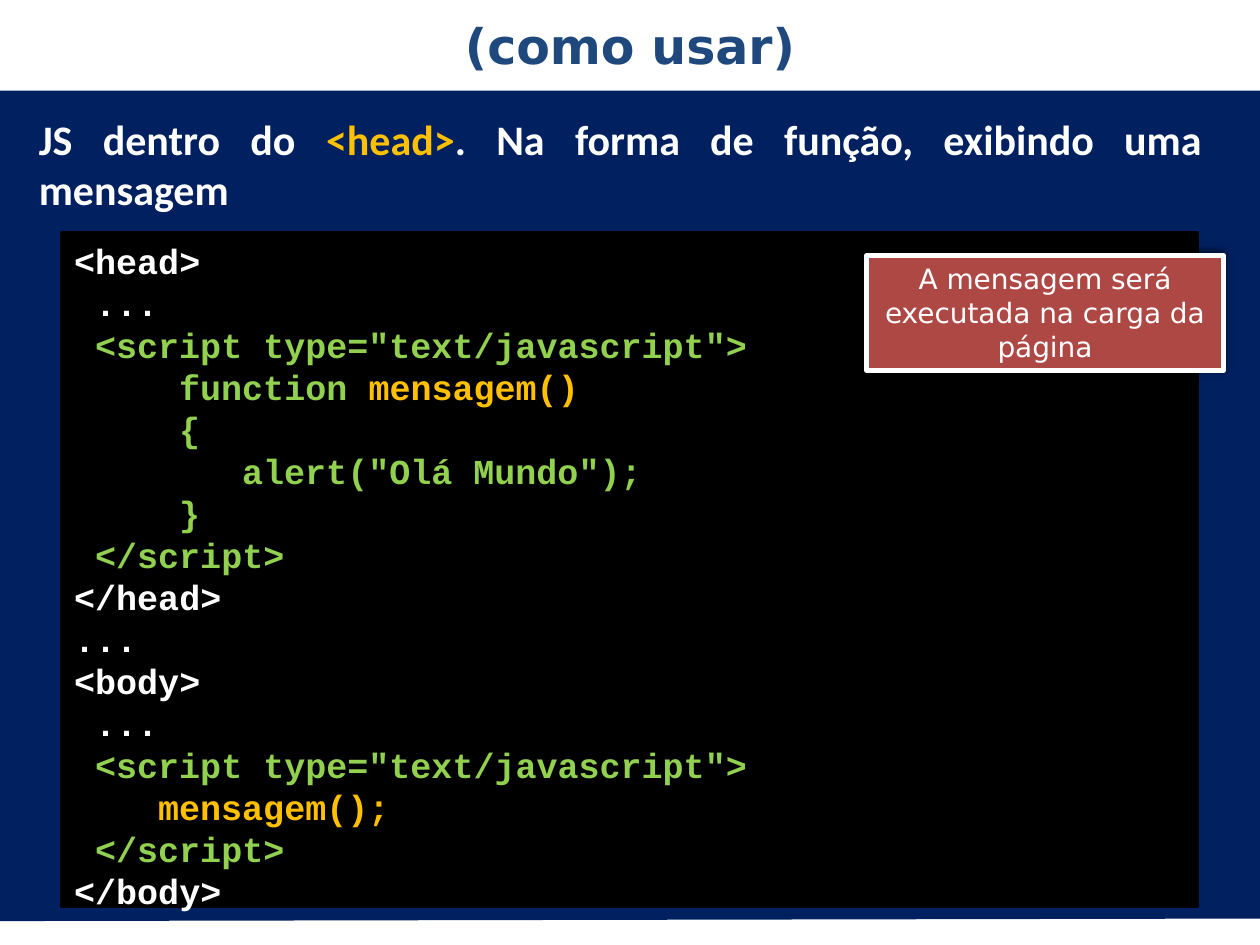
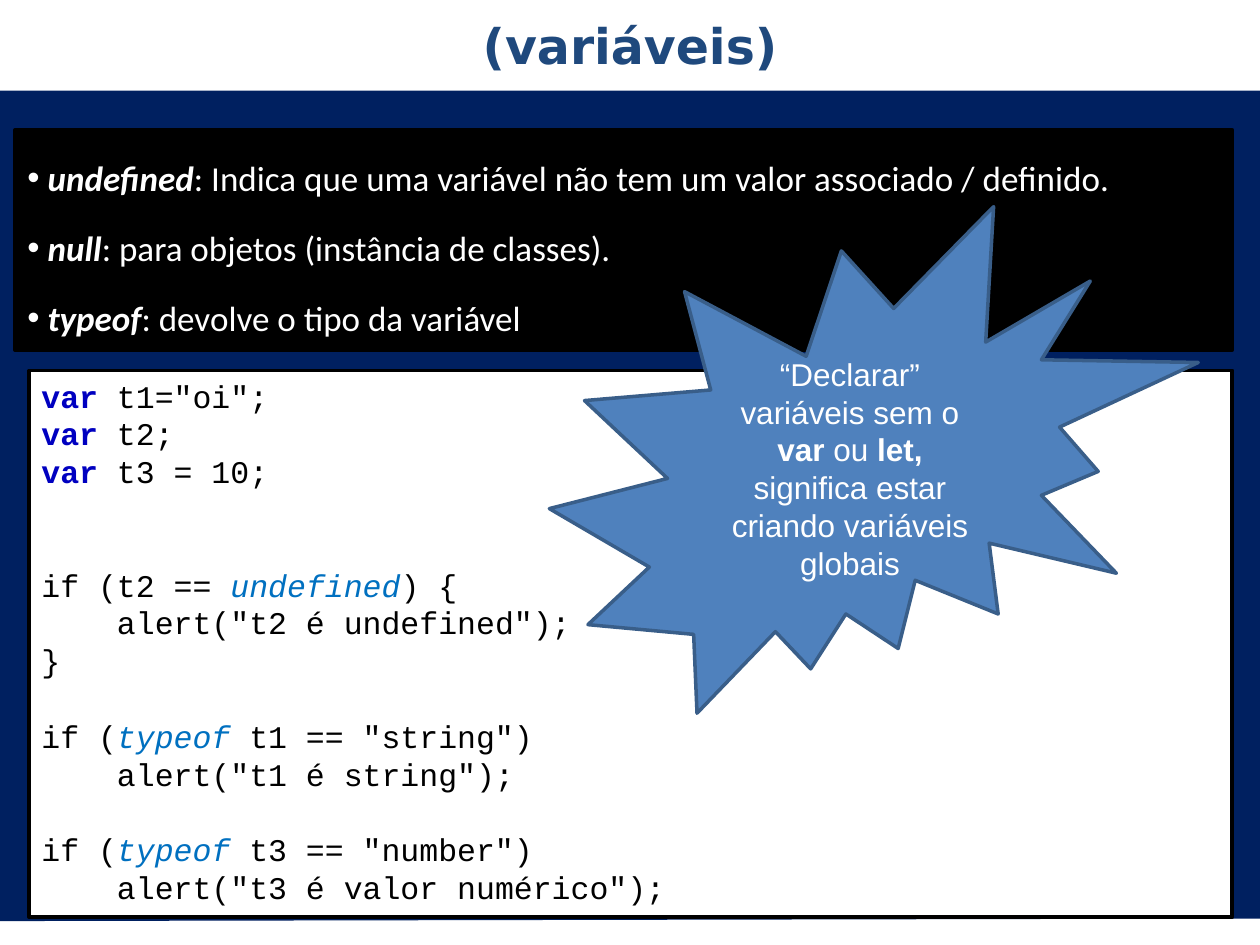
import dataclasses

import pptx
import pptx.dml.color
import pptx.enum.shapes
import pptx.enum.text
import pptx.oxml
import pptx.oxml.ns
import pptx.util
from pptx.util import Inches

SHAPES = pptx.enum.shapes.MSO_SHAPE
ALIGN = pptx.enum.text.PP_ALIGN
ANCHOR = pptx.enum.text.MSO_ANCHOR


@dataclasses.dataclass(frozen=True)
class Theme:
    navy: str = "002060"
    white: str = "FFFFFF"
    black: str = "000000"
    title: str = "1F497D"
    amber: str = "FFC000"
    green: str = "92D050"
    red: str = "AE4845"
    keyword: str = "0000C0"
    operator: str = "0070C0"
    burst: str = "4F81BD"
    burst_edge: str = "395E89"
    title_font: str = "DejaVu Sans"
    body_font: str = "Calibri"
    code_font: str = "Courier New"
    burst_font: str = "Arial"
    title_size: int = 28
    heading_size: int = 24
    body_size: int = 20
    small_size: int = 18
    callout_size: int = 16
    code_leading: float = 1.2
    code_advance: float = 0.6


@dataclasses.dataclass(frozen=True)
class Run:
    text: str
    color: str
    bold: bool = False
    italic: bool = False


@dataclasses.dataclass(frozen=True)
class CodeLine:
    """A line of code, its indent in columns and the empty lines above it."""
    runs: tuple
    columns: int = 0
    gap: int = 0


def rgb(color):
    return pptx.dml.color.RGBColor.from_string(color)


def add_xml(parent, tag, content="", **attributes):
    listed = " ".join(f'{name}="{value}"' for name, value in attributes.items())
    namespace = pptx.oxml.ns.nsdecls("a")
    parent.append(pptx.oxml.parse_xml(f"<a:{tag} {namespace} {listed}>{content}</a:{tag}>"))


class Deck:
    def __init__(self, theme):
        self.theme = theme
        self.presentation = pptx.Presentation()
        self.presentation.slide_width = Inches(10)
        self.presentation.slide_height = Inches(7.5)
        self.slide = None

    def add_slide(self):
        theme = self.theme
        self.slide = self.presentation.slides.add_slide(self.presentation.slide_layouts[6])
        background = self.slide.background.fill
        background.solid()
        background.fore_color.rgb = rgb(theme.navy)
        for top in (0, 6.78):
            self.shape((0, top, 10, 0.72), theme.white)
        builder = self.slide.shapes.build_freeform(0, Inches(3.19))
        corners = ((10, 5.4), (10, 7.29), (0, 7.31))
        builder.add_line_segments([(Inches(x), Inches(y)) for x, y in corners])
        self.paint(builder.convert_to_shape(), theme.navy)

    def paint(self, shape, fill, line=None, width=2):
        shape.shadow.inherit = False
        shape.fill.solid()
        shape.fill.fore_color.rgb = rgb(fill)
        if line is None:
            shape.line.fill.background()
        else:
            shape.line.color.rgb = rgb(line)
            shape.line.width = pptx.util.Pt(width)

    def shape(self, box, fill, line=None, width=2, kind=SHAPES.RECTANGLE):
        shape = self.slide.shapes.add_shape(kind, *map(Inches, box))
        self.paint(shape, fill, line, width)
        return shape

    def frame(self, shape, anchor=ANCHOR.TOP):
        frame = shape.text_frame
        frame.word_wrap = True
        frame.vertical_anchor = anchor
        return frame

    def paragraphs(self, frame, rows, font, size, align=ALIGN.LEFT):
        """Fill the frame with one paragraph for each row of runs."""
        for index, runs in enumerate(rows):
            paragraph = frame.add_paragraph() if index else frame.paragraphs[0]
            paragraph.alignment = align
            for item in runs:
                run = paragraph.add_run()
                run.text = item.text
                run.font.name = font
                run.font.size = pptx.util.Pt(size)
                run.font.bold = item.bold
                run.font.italic = item.italic
                run.font.color.rgb = rgb(item.color)
        return frame.paragraphs

    def text(self, box, runs, font, size, align, anchor=ANCHOR.TOP):
        shape = self.slide.shapes.add_textbox(*map(Inches, box))
        self.paragraphs(self.frame(shape, anchor), [runs], font, size, align)

    def title(self, text):
        theme = self.theme
        self.text((0, 0, 10, 0.71), [Run(text, theme.title, True)], theme.title_font,
                  theme.title_size, ALIGN.CENTER, ANCHOR.MIDDLE)

    def heading(self, box, runs):
        self.text(box, runs, self.theme.body_font, self.theme.heading_size, ALIGN.JUSTIFY)

    def code(self, box, lines, fill, size):
        theme = self.theme
        frame = self.frame(self.shape(box, fill, theme.black))
        rows = [line.runs for line in lines]
        leading = pptx.util.Pt(size * theme.code_leading)
        column = pptx.util.Pt(size * theme.code_advance)
        for line, paragraph in zip(lines, self.paragraphs(frame, rows, theme.code_font, size)):
            paragraph.line_spacing = leading
            paragraph.space_before = line.gap * leading
            paragraph._p.get_or_add_pPr().set("marL", str(line.columns * column))

    def bullets(self, box, rows):
        theme = self.theme
        frame = self.frame(self.shape(box, theme.black, theme.black))
        hanging = Inches(0.16)
        for index, paragraph in enumerate(
                self.paragraphs(frame, rows, theme.body_font, theme.body_size)):
            paragraph.line_spacing = 1.5
            paragraph.space_before = pptx.util.Pt(4 if index else 0)
            properties = paragraph._p.get_or_add_pPr()
            properties.set("marL", str(hanging))
            properties.set("indent", str(-hanging))
            add_xml(properties, "buClr", f'<a:srgbClr val="{theme.white}"/>')
            add_xml(properties, "buFont", typeface="Arial")
            add_xml(properties, "buChar", char="•")

    def callout(self, box, text):
        theme = self.theme
        shape = self.shape(box, theme.red, theme.white, 3)
        effects = shape._element.spPr.find(pptx.oxml.ns.qn("a:effectLst"))
        shade = f'<a:srgbClr val="{theme.black}"><a:alpha val="50000"/></a:srgbClr>'
        add_xml(effects, "outerShdw", shade, blurRad=pptx.util.Pt(5),
                dist=pptx.util.Pt(2), dir=245 * 60000, rotWithShape=0)
        self.paragraphs(self.frame(shape), [[Run(text, theme.white)]], theme.title_font,
                        theme.callout_size, ALIGN.CENTER)

    def starburst(self, box, runs):
        theme = self.theme
        shape = self.shape(box, theme.burst, theme.burst_edge, kind=SHAPES.EXPLOSION2)
        self.paragraphs(self.frame(shape, ANCHOR.MIDDLE), [runs], theme.burst_font,
                        theme.small_size, ALIGN.CENTER)


def add_usage_slide(deck):
    theme = deck.theme

    def line(text, color, columns=0):
        return CodeLine((Run(text, color, True),), columns)

    open_script = line('<script type="text/javascript">', theme.green, 1)
    close_script = line("</script>", theme.green, 1)
    ellipsis = line("...", theme.white, 1)
    function = CodeLine((Run("function ", theme.green, True),
                         Run("mensagem()", theme.amber, True)), 5)

    deck.add_slide()
    deck.heading((0.21, 0.85, 9.43, 5.57), [
        Run("JS dentro do ", theme.white, True),
        Run("<head>", theme.amber, True),
        Run(". Na forma de função, exibindo uma mensagem", theme.white, True),
    ])
    deck.code((0.49, 1.85, 9.01, 5.34), [
        line("<head>", theme.white),
        ellipsis,
        open_script,
        function,
        line("{", theme.green, 5),
        line('alert("Olá Mundo");', theme.green, 8),
        line("}", theme.green, 5),
        close_script,
        line("</head>", theme.white),
        line("...", theme.white),
        line("<body>", theme.white),
        ellipsis,
        open_script,
        line("mensagem();", theme.amber, 4),
        close_script,
        line("</body>", theme.white),
    ], theme.black, theme.body_size)
    deck.callout((6.88, 2.03, 2.83, 0.91), "A mensagem será executada na carga da página")
    deck.title("(como usar)")


def add_variables_slide(deck):
    theme = deck.theme

    def declare(text):
        return CodeLine((Run("var", theme.keyword, True), Run(text, theme.black)))

    def test(before, operator, after, gap):
        return CodeLine((Run(before, theme.black), Run(operator, theme.operator, italic=True),
                         Run(after, theme.black)), gap=gap)

    def alert(message):
        return CodeLine((Run(f'alert("{message}");', theme.black),), 4)

    definitions = (
        ("undefined", ": Indica que uma variável não tem um valor associado / definido."),
        ("null", ": para objetos (instância de classes)."),
        ("typeof", ": devolve o tipo da variável"),
    )
    deck.add_slide()
    deck.bullets((0.12, 1.03, 9.66, 1.75), [
        (Run(term, theme.white, True, True), Run(meaning, theme.white))
        for term, meaning in definitions
    ])
    deck.code((0.23, 2.94, 9.55, 4.34), [
        declare(' t1="oi";'),
        declare(" t2;"),
        declare(" t3 = 10;"),
        test("if (t2 == ", "undefined", ") {", 2),
        alert("t2 é undefined"),
        CodeLine((Run("}", theme.black),)),
        test("if (", "typeof", ' t1 == "string")', 1),
        alert("t1 é string"),
        test("if (", "typeof", ' t3 == "number")', 1),
        alert("t3 é valor numérico"),
    ], theme.white, theme.small_size)
    deck.title("(variáveis)")
    deck.starburst((4.36, 1.64, 5.15, 4.02), [
        Run("“Declarar” variáveis sem o ", theme.white),
        Run("var ", theme.white, True),
        Run("ou ", theme.white),
        Run("let, ", theme.white, True),
        Run("significa estar criando variáveis globais", theme.white),
    ])


def main():
    deck = Deck(Theme())
    add_usage_slide(deck)
    add_variables_slide(deck)
    deck.presentation.save("out.pptx")


if __name__ == "__main__":
    main()
